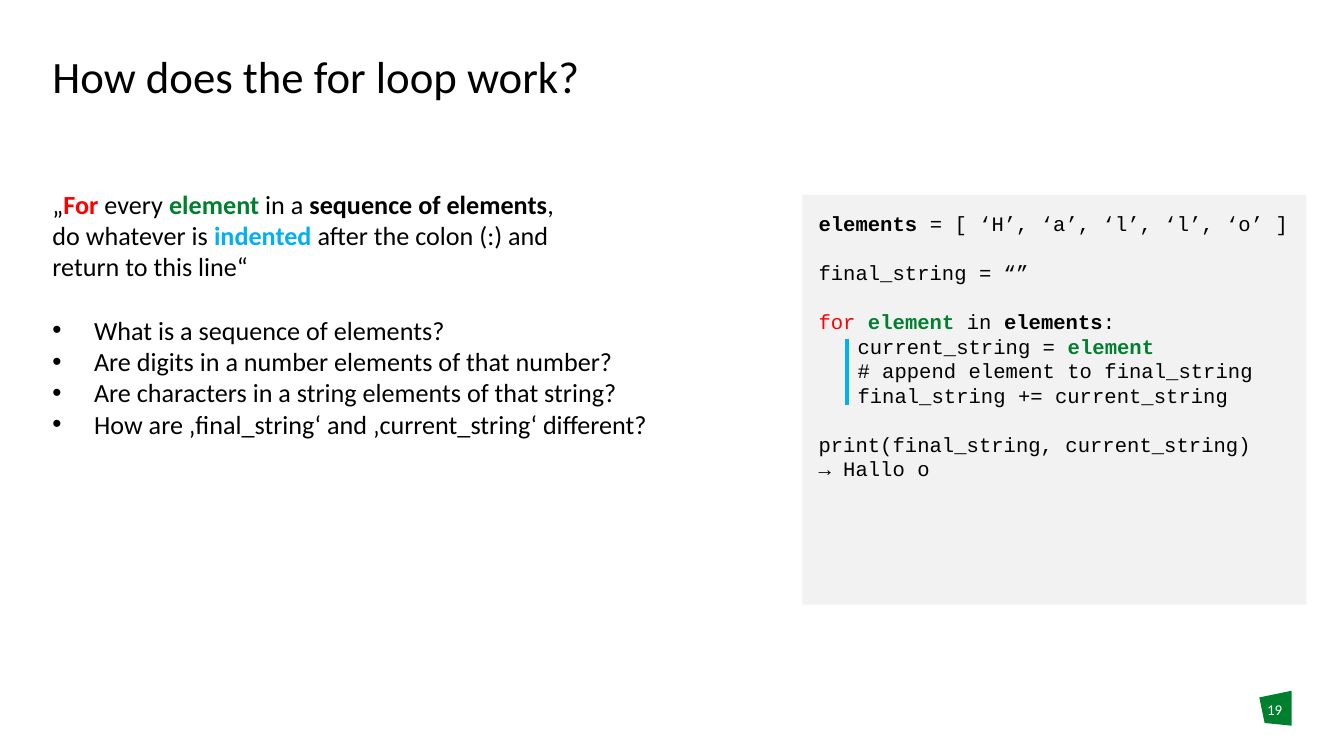
"""Build the slide that explains the for loop."""
from lxml import etree
from pptx import Presentation
from pptx.dml.color import RGBColor
from pptx.enum.shapes import MSO_CONNECTOR, MSO_SHAPE
from pptx.enum.text import MSO_ANCHOR, PP_ALIGN
from pptx.oxml.ns import qn
from pptx.util import Inches, Pt

RECTANGLE, STRAIGHT = MSO_SHAPE.RECTANGLE, MSO_CONNECTOR.STRAIGHT
TOP, LEFT, CENTER = MSO_ANCHOR.TOP, PP_ALIGN.LEFT, PP_ALIGN.CENTER

BLACK, WHITE, RED = "000000", "FFFFFF", "FF0000"
GREEN, BLUE, GREY = "00802F", "00B0F0", "F2F2F2"
PROSE, CODE = "Calibri", "Courier New"

TITLE = "How does the for loop work?"
PAGE = "19"
RULE = [
    [("„",), ("For ", RED, True), ("every ",), ("element", GREEN, True),
     (" in a ",), ("sequence of elements", BLACK, True), (",",)],
    [("do whatever is ",), ("indented", BLUE, True), (" after the colon (:) and",)],
    [("return to this line“",)],
]
QUESTIONS = [
    "What is a sequence of elements?",
    "Are digits in a number elements of that number?",
    "Are characters in a string elements of that string?",
    "How are ‚final_string‘ and ‚current_string‘ different?",
]
CODE_BLOCKS = [
    [[("elements", BLACK, True), (" = [ ‘H’, ‘a’, ‘l’, ‘l’, ‘o’ ]",)]],
    [[("final_string = “”",)]],
    [[("for ", RED), ("element", GREEN, True), (" in ",),
      ("elements", BLACK, True), (":",)],
     [("\tcurrent_string = ",), ("element", GREEN, True)],
     [("\t# append element to final_string",)],
     [("\tfinal_string += current_string",)]],
    [[("print(final_string, current_string)",)],
     [("→ Hallo o",)]],
]
BADGE = [(9.37, 5.19), (9.61, 5.14), (9.61, 5.4), (9.41, 5.38)]


def rgb(color):
    return RGBColor.from_string(color)


def paint(shape, color):
    shape.shadow.inherit = False
    shape.fill.solid()
    shape.fill.fore_color.rgb = rgb(color)
    shape.line.fill.background()


def prepare(frame, margin=0):
    frame.word_wrap = True
    frame.vertical_anchor = TOP
    frame.margin_left = frame.margin_right = Inches(margin)
    frame.margin_top = frame.margin_bottom = Inches(margin)
    return frame


def add_box(left, top, width, height):
    box = slide.shapes.add_textbox(*map(Inches, (left, top, width, height)))
    return prepare(box.text_frame)


def add_run(paragraph, size, font, text, color=BLACK, bold=False):
    run = paragraph.add_run()
    run.text = text
    run.font.size, run.font.name, run.font.bold = Pt(size), font, bold
    run.font.color.rgb = rgb(color)


def add_line(frame, pieces, size, font=PROSE, align=LEFT, gap=0):
    paragraph = frame.paragraphs[0]
    if paragraph.runs:
        paragraph = frame.add_paragraph()
    paragraph.alignment = align
    if gap:
        paragraph.space_before = Pt(gap)
    for piece in pieces:
        add_run(paragraph, size, font, *piece)
    return paragraph


def add_bullet(paragraph, indent):
    properties = paragraph._p.get_or_add_pPr()
    properties.set("marL", str(Inches(indent)))
    properties.set("indent", str(-Inches(indent)))
    etree.SubElement(properties, qn("a:buFont"), typeface="Arial")
    etree.SubElement(properties, qn("a:buChar"), char="•")


def add_tab(paragraph, position):
    properties = paragraph._p.get_or_add_pPr()
    tabs = etree.SubElement(properties, qn("a:tabLst"))
    etree.SubElement(tabs, qn("a:tab"), pos=str(Inches(position)), algn="l")


presentation = Presentation()
presentation.slide_width = Inches(10)
presentation.slide_height = Inches(10) * 9 // 16
slide = presentation.slides.add_slide(presentation.slide_layouts[6])

corners = [(Inches(x), Inches(y)) for x, y in BADGE]
outline = slide.shapes.build_freeform(*corners[0])
outline.add_line_segments(corners[1:], close=True)
paint(outline.convert_to_shape(), GREEN)

title = add_line(add_box(0.39, 0.41, 9.22, 0.67), [(TITLE,)], 24)
title.line_spacing = 0.9
add_line(add_box(9.37, 5.21, 0.23, 0.3), [(PAGE, WHITE)], 8, align=CENTER)

explanation = add_box(0.39, 1.4, 4.61, 3.5)
for pieces in RULE:
    add_line(explanation, pieces, 14)
for number, question in enumerate(QUESTIONS):
    line = add_line(explanation, [(question,)], 14, gap=0 if number else 17)
    add_bullet(line, 0.31)

panel = slide.shapes.add_shape(RECTANGLE, *map(Inches, (5.97, 1.45, 3.75, 3.05)))
paint(panel, GREY)
listing = prepare(panel.text_frame, 0.12)
for block_number, block in enumerate(CODE_BLOCKS):
    for number, pieces in enumerate(block):
        gap = 13 if block_number and not number else 0
        line = add_line(listing, pieces, 11, CODE, gap=gap)
        if pieces[0][0].startswith("\t"):
            add_tab(line, 0.29)

indent_bar = slide.shapes.add_connector(
    STRAIGHT, *map(Inches, (6.3, 2.52, 6.3, 3.01)))
indent_bar.line.color.rgb = rgb(BLUE)
indent_bar.line.width = Pt(2.25)
etree.SubElement(indent_bar._element.spPr, qn("a:effectLst"))

presentation.save("out.pptx")
